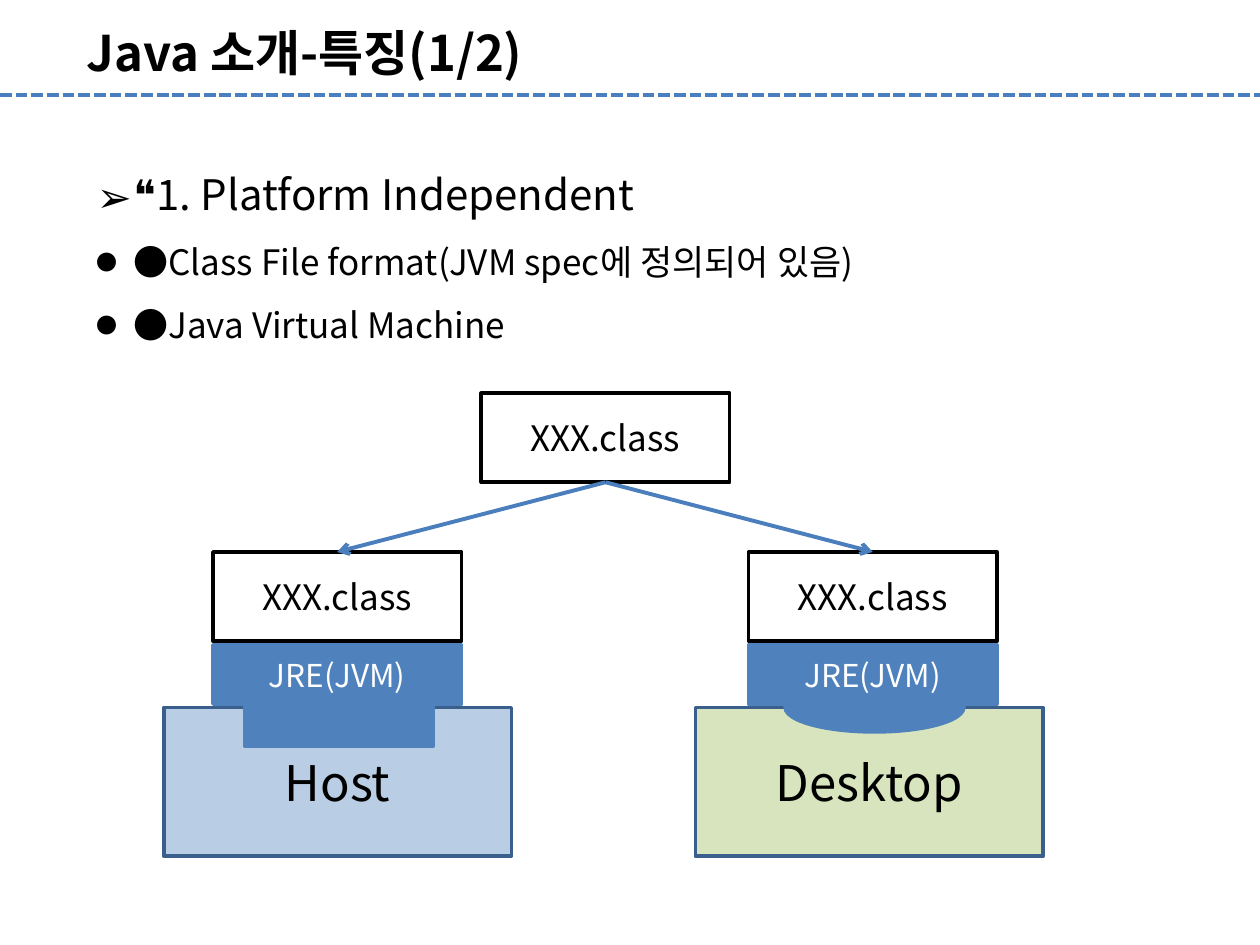
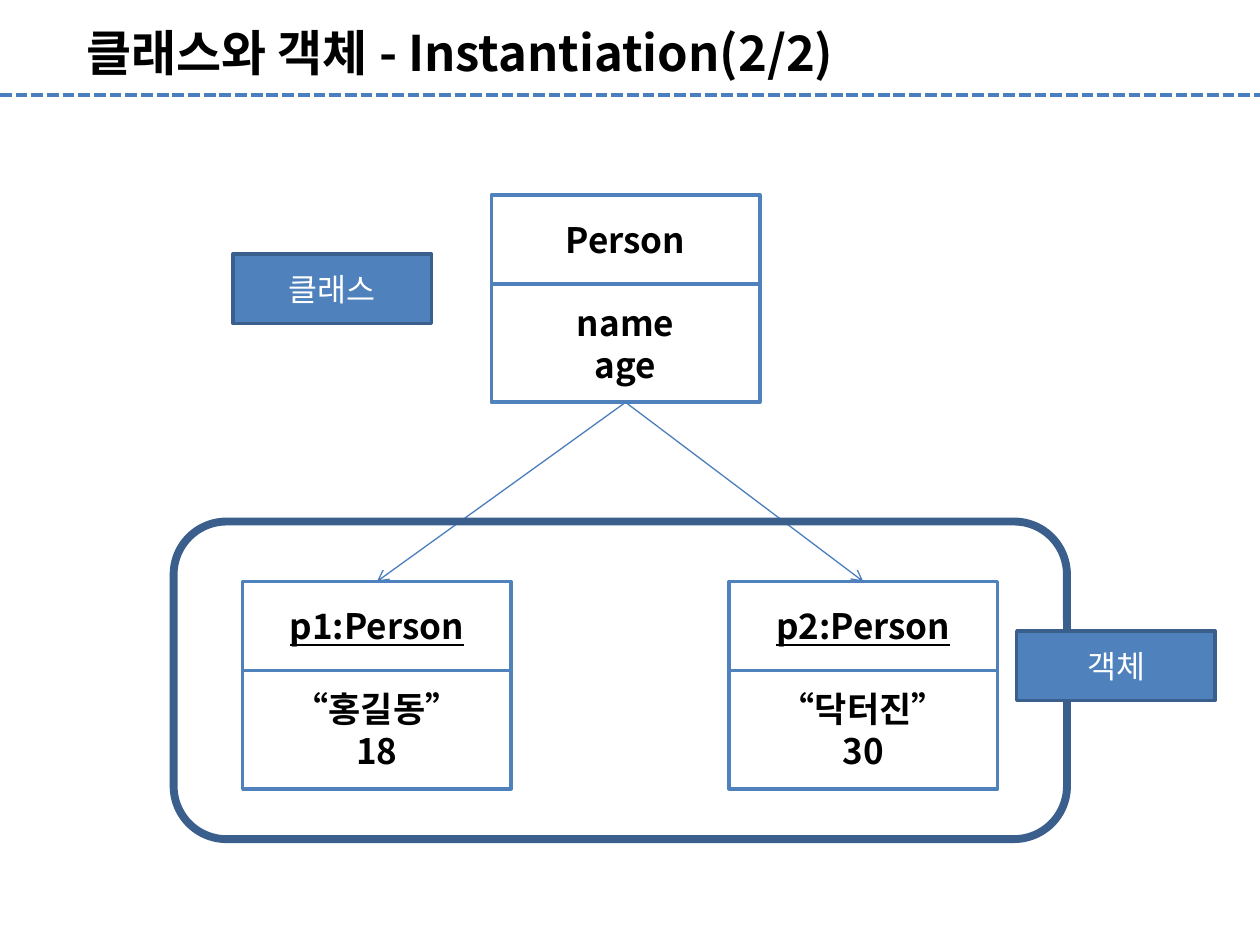
from lxml import etree
from pptx import Presentation
from pptx.dml.color import RGBColor
from pptx.enum.dml import MSO_LINE
from pptx.enum.shapes import MSO_CONNECTOR, MSO_SHAPE
from pptx.enum.text import MSO_ANCHOR, MSO_AUTO_SIZE, PP_ALIGN
from pptx.oxml.ns import qn
from pptx.util import Pt

RECT, ROUNDED, OVAL = MSO_SHAPE.RECTANGLE, MSO_SHAPE.ROUNDED_RECTANGLE, MSO_SHAPE.OVAL
STRAIGHT, DASH = MSO_CONNECTOR.STRAIGHT, MSO_LINE.SQUARE_DOT
MIDDLE, CENTER, GROW = MSO_ANCHOR.MIDDLE, PP_ALIGN.CENTER, MSO_AUTO_SIZE.SHAPE_TO_FIT_TEXT
FONT = "Noto Sans CJK KR"
COLORS = {
    "black": "000000", "white": "FFFFFF", "blue": "4F81BD", "navy": "3A5F8C",
    "arrow": "4B7EBC", "pale blue": "B9CDE5", "pale green": "D7E4BD",
}
RGB = {name: RGBColor.from_string(code) for name, code in COLORS.items()}


def add_block(slide, frame, lines=(), size=20, color="black", outline=None, fill=None,
              kind=RECT, width=2, **styles):
    position = [Pt(length) for length in frame]
    if outline:
        block = slide.shapes.add_shape(kind, *position)
        block.shadow.inherit = False
        block.line.color.rgb = RGB[outline]
        block.line.width = Pt(width)
        if fill:
            block.fill.solid()
            block.fill.fore_color.rgb = RGB[fill]
        else:
            block.fill.background()
        block.text_frame.vertical_anchor = MIDDLE
    else:
        block = slide.shapes.add_textbox(*position)
        block.text_frame.auto_size = GROW
    text = block.text_frame
    text.word_wrap = True
    for index, words in enumerate(lines):
        paragraph = text.add_paragraph() if index else text.paragraphs[0]
        if outline:
            paragraph.alignment = CENTER
        run = paragraph.add_run()
        run.text = words
        for attribute, value in {"name": FONT, "size": Pt(size), **styles}.items():
            setattr(run.font, attribute, value)
        run.font.color.rgb = RGB[color]
        etree.SubElement(run.font._element, qn("a:ea"), typeface=FONT)
    return text


def add_line(slide, start, end, width, arrow=True):
    line = slide.shapes.add_connector(STRAIGHT, *[Pt(length) for length in (*start, *end)])
    line.line.color.rgb = RGB["arrow"]
    line.line.width = Pt(width)
    if arrow:
        etree.SubElement(line.line._get_or_add_ln(), qn("a:tailEnd"), type="arrow")
    else:
        line.line.dash_style = DASH
    etree.SubElement(line._element.spPr, qn("a:effectLst"))


deck = Presentation()
deck.slide_width, deck.slide_height = Pt(720), Pt(540)
slides = []
for title, title_width in (
    ("Java 소개-특징(1/2)", 468.7),
    ("클래스와 객체 - Instantiation(2/2)", 595.4),
):
    slide = deck.slides.add_slide(deck.slide_layouts[6])
    add_block(slide, (42.5, 9.4, title_width, 41), [title], 28, bold=True)
    add_line(slide, (0, 54.5), (720, 54.5), 2.25, arrow=False)
    slides.append(slide)
features, instantiation = slides

points = add_block(features, (48.2, 78.5, 561.6, 124), [
    "❝1. Platform Independent",
    "●Class File format(JVM spec에 정의되어 있음)",
    "●Java Virtual Machine",
])
points.paragraphs[0].runs[0].font.size = Pt(24)
for paragraph, bullet, scale in zip(points.paragraphs, "➢●●", (100, 60, 60)):
    paragraph.line_spacing = 1.5
    properties = paragraph._p.get_or_add_pPr()
    properties.set("marL", str(Pt(21)))
    properties.set("indent", str(-Pt(21)))
    etree.SubElement(properties, qn("a:buSzPct"), val=str(scale * 1000))
    etree.SubElement(properties, qn("a:buFont"), typeface=FONT)
    etree.SubElement(properties, qn("a:buChar"), char=bullet)

class_width, class_height = 142, 51
class_style = {"outline": "black", "fill": "white"}
jvm_style = {"outline": "blue", "fill": "blue"}
source_left, source_top, target_top = 275, 224.6, 315.4
source_bottom = (source_left + class_width / 2, source_top + class_height)
add_block(features, (source_left, source_top, class_width, class_height), ["XXX.class"], **class_style)
for system, system_left, system_fill, jvm_left, plug_kind, plug in (
    ("Host", 93.6, "pale blue", 121.7, RECT, (139.7, 403.9, 108, 22.3)),
    ("Desktop", 397.4, "pale green", 427.7, OVAL, (448.6, 390.2, 102.2, 28.1)),
):
    add_block(features, (jvm_left, target_top, class_width, class_height), ["XXX.class"], **class_style)
    add_block(features, (system_left, 404.3, 198.7, 85), [system], 28,
              outline="navy", fill=system_fill)
    add_block(features, plug, kind=plug_kind, **jvm_style)
    add_block(features, (jvm_left, 368.6, class_width, 33.8), ["JRE(JVM)"], 18, "white", **jvm_style)
    add_line(features, source_bottom, (jvm_left + class_width / 2, target_top), 2.25)

person_width, name_height, fields_height = 153.4, 50.8, 67.7
person_left, person_top, object_top = 280.8, 111.4, 332.3
person_bottom = (person_left + person_width / 2, person_top + name_height + fields_height)
for name, fields, left, top in (
    ("Person", ["name", "age"], person_left, person_top),
    ("p1:Person", ["“홍길동”", "18"], 138.7, object_top),
    ("p2:Person", ["“닥터진”", "30"], 416.6, object_top),
):
    is_object = top == object_top
    add_block(instantiation, (left, top, person_width, name_height), [name],
              outline="blue", bold=True, underline=is_object)
    add_block(instantiation, (left, top + name_height, person_width, fields_height), fields,
              outline="blue", bold=True)
    if is_object:
        add_line(instantiation, person_bottom, (left + person_width / 2, top), 0.75)

add_block(instantiation, (99.2, 298, 510.5, 181.5), outline="navy", kind=ROUNDED, width=4.5)
for label, left, top in (("클래스", 133.2, 145.2), ("객체", 581, 360.6)):
    add_block(instantiation, (left, top, 113.4, 39.8), [label], 18, "white",
              outline="navy", fill="blue")

deck.save("out.pptx")
